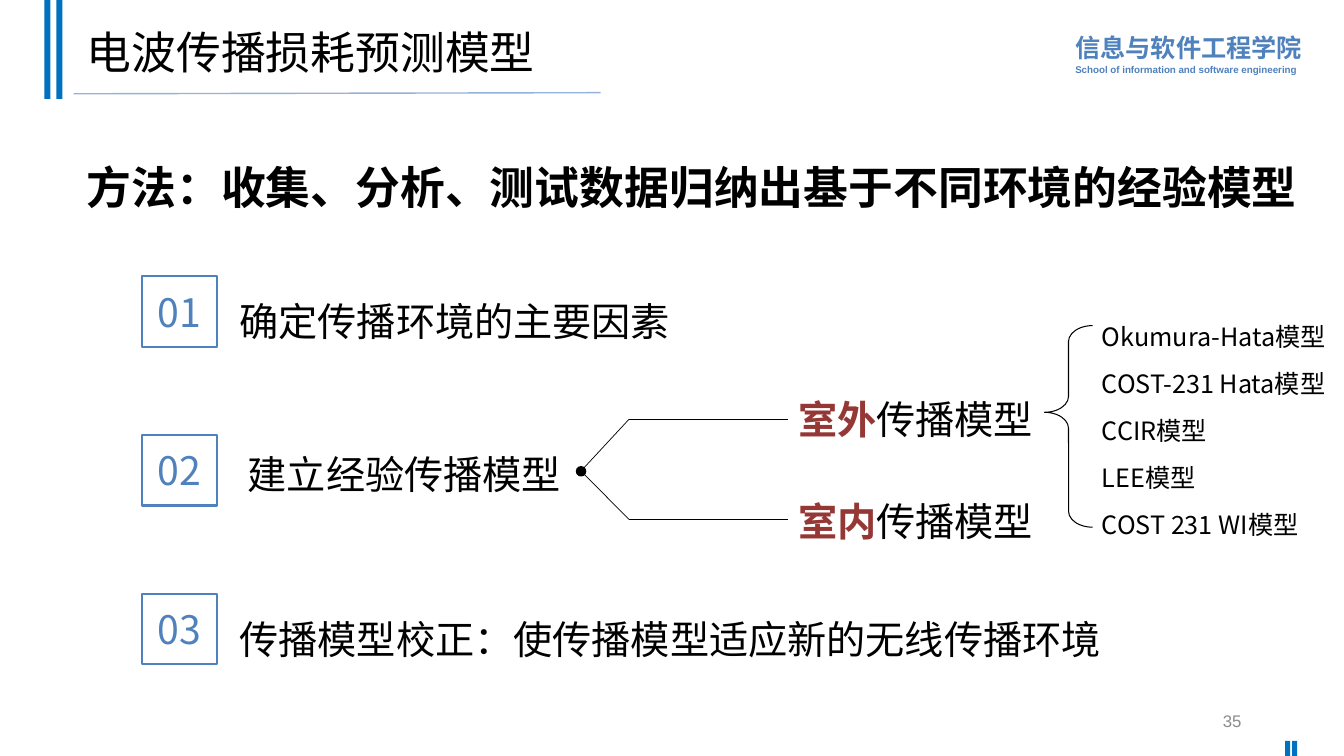
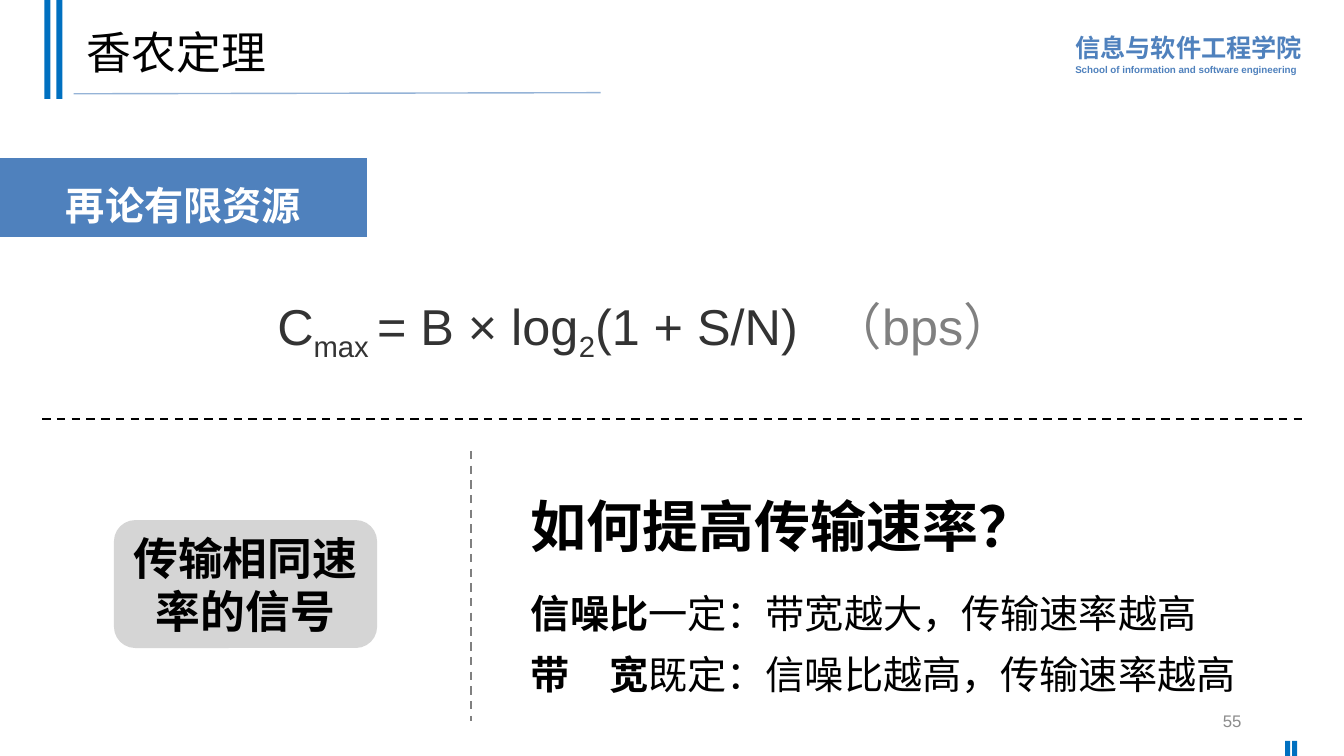
"""Build two lecture slides on radio propagation models and Shannon's theorem."""
import pptx
import pptx.util
import pptx.dml.color
import pptx.enum.dml
import pptx.enum.shapes
import pptx.enum.text
import pptx.oxml.ns
import lxml.etree

Pt = pptx.util.Pt
KIND = pptx.enum.shapes.MSO_SHAPE
ALIGN = pptx.enum.text.PP_ALIGN
ANCHOR = pptx.enum.text.MSO_ANCHOR
NOTO, ARIAL = "Noto Sans CJK SC", "Arial"
BLUE, BAR, RULE, RED = "4F81BD", "0070C0", "95B3D7", "953735"
BLACK, DARK, GREY, PALE, WHITE = "000000", "333333", "808080", "D5D5D5", "FFFFFF"

SCHOOL = [
    [("信息与软件工程学院", {})],
    [("School of information and software engineering", {"size": 7})],
]
BARS = [(31.7, 0, 4.3, 70.6), (40.3, 0, 4.3, 70.6),
        (918, 529.2, 3.6, 10.8), (923, 529.2, 3.6, 10.8)]

METHOD = "方法：收集、分析、测试数据归纳出基于不同环境的经验模型"
STEPS = [
    ("确定传播环境的主要因素", 164, 209),
    ("建立经验传播模型", 170, 318),
    ("传播模型校正：使传播模型适应新的无线传播环境", 164, 436),
]
SCENES = [("室外", 279, 299.5), ("室内", 351.5, 371)]
MODELS = ["Okumura-Hata模型", "COST-231 Hata模型", "CCIR模型", "LEE模型",
          "COST 231 WI模型"]

SUB = {"base": -25000}
FORMULA = [
    ("C", {}), ("max ", SUB), ("= B × log", {}), ("2", SUB),
    ("(1 + S/N)\t", {}), ("（bps）", {"color": GREY}),
]
SMALL = {"size": 28}
PLAIN = {"size": 28, "bold": False}
ANSWERS = [
    [("如何提高传输速率？", {})],
    [("信噪比", SMALL), ("一定：带宽越大，传输速率越高", PLAIN)],
    [("带　宽", SMALL), ("既定：信噪比越高，传输速率越高", PLAIN)],
]


def rgb(code):
    return pptx.dml.color.RGBColor.from_string(code)


def node(parent, tag, **attrs):
    return lxml.etree.SubElement(parent, pptx.oxml.ns.qn(tag), attrs)


def place(shape, box):
    shape.left, shape.top, shape.width, shape.height = map(Pt, box)


def write(shape, paras, size=28, font=NOTO, color=BLACK, bold=False,
          align=ALIGN.LEFT, anchor=ANCHOR.TOP, line=1.2, gaps=(), tab=None):
    frame = shape.text_frame
    frame.word_wrap = True
    frame.auto_size = pptx.enum.text.MSO_AUTO_SIZE.NONE
    frame.vertical_anchor = anchor
    if isinstance(paras, str):
        paras = [[(paras, {})]]
    for at, runs in enumerate(paras):
        para = frame.add_paragraph() if at else frame.paragraphs[0]
        para.alignment = align
        para.line_spacing = Pt(line * runs[0][1].get("size", size))
        para.space_before = Pt(gaps[at] if gaps else 0)
        props = para._p.get_or_add_pPr()
        props.set("marL", "0")
        props.set("indent", "0")
        node(props, "a:buNone")
        if tab:
            node(node(props, "a:tabLst"), "a:tab", pos=str(Pt(tab)), algn="l")
        for words, look in runs:
            run = para.add_run()
            run.text = words
            run.font.size = Pt(look.get("size", size))
            run.font.bold = look.get("bold", bold)
            run.font.color.rgb = rgb(look.get("color", color))
            run.font.name = font
            mark = run._r.get_or_add_rPr()
            node(mark, "a:ea", typeface=NOTO)
            if "base" in look:
                mark.set("baseline", str(look["base"]))
    return shape


def label(slide, box, paras, **look):
    return write(slide.shapes.add_textbox(*map(Pt, box)), paras, **look)


def block(slide, kind, box, fill=None, edge=None, width=1):
    shape = slide.shapes.add_shape(kind, *map(Pt, box))
    shape.shadow.inherit = False
    if fill:
        shape.fill.solid()
        shape.fill.fore_color.rgb = rgb(fill)
    else:
        shape.fill.background()
    if edge:
        shape.line.color.rgb = rgb(edge)
        shape.line.width = Pt(width)
    else:
        shape.line.fill.background()
    return shape


def stroke(slide, ends, color=BLACK, width=0.5, dash=False):
    line = slide.shapes.add_connector(
        pptx.enum.shapes.MSO_CONNECTOR.STRAIGHT, *map(Pt, ends))
    line.line.color.rgb = rgb(color)
    line.line.width = Pt(width)
    if dash:
        line.line.dash_style = pptx.enum.dml.MSO_LINE.DASH
    node(line._element.spPr, "a:effectLst")


def start(deck, title, number, font):
    slide = deck.slides.add_slide(deck.slide_layouts[1])
    label(slide, (761, 18, 180, 40), SCHOOL, size=18, font=ARIAL,
          color=BLUE, bold=True, line=1.3)
    for bar in BARS:
        block(slide, KIND.RECTANGLE, bar, BAR)
    stroke(slide, (52.6, 67, 429, 66.2), RULE, 1)
    head, body = slide.placeholders
    place(head, (54.7, 5, 828, 63.4))
    write(head, title, size=32, font=font, anchor=ANCHOR.MIDDLE)
    label(slide, (678, 500.4, 216, 28.8), number, size=12, font=ARIAL,
          color="8C8C8C", align=ALIGN.RIGHT, anchor=ANCHOR.MIDDLE)
    return slide, body


def models(deck):
    slide, body = start(deck, "电波传播损耗预测模型", "35", NOTO)
    place(body, (54.7, 99, 890, 57.6))
    write(body, METHOD, size=32, bold=True, line=1.56)
    for at, (step, left, top) in enumerate(STEPS):
        badge = block(slide, KIND.RECTANGLE,
                      (101.5, 197.3 + 113.4 * at, 53.3, 50.4), None, BLUE, 1.5)
        write(badge, f"{at + 1:02}", color=BLUE, align=ALIGN.CENTER,
              anchor=ANCHOR.MIDDLE)
        label(slide, (left, top, 692, 41), step)
    for scene, top, mid in SCENES:
        stroke(slide, (563, mid, 449.3, mid))
        stroke(slide, (449.3, mid, 415, 336.5))
        label(slide, (563, top, 190, 41),
              [[(scene, {"color": RED, "bold": True}), ("传播模型", {})]])
    block(slide, KIND.OVAL, (411.8, 333.4, 6.5, 6.5), BLACK, BLACK)
    names = label(slide, (780, 226, 180, 165), [[(name, {})] for name in MODELS],
                  size=18, gaps=[0] + [12] * 4)
    names.text_frame.margin_right = 0
    brace = block(slide, KIND.LEFT_BRACE, (746, 232.6, 34.5, 144), None, BLACK, 0.75)
    brace.adjustments[0], brace.adjustments[1] = 0.33, 0.43


def shannon(deck):
    slide, body = start(deck, "香农定理", "55", ARIAL)
    place(body, (0, 113, 262, 56.2))
    body.fill.solid()
    body.fill.fore_color.rgb = rgb(BLUE)
    write(body, "再论有限资源", font=ARIAL, color=WHITE, bold=True,
          align=ALIGN.CENTER, line=1.66)
    label(slide, (191, 213, 595, 51), [FORMULA], size=36, font=ARIAL,
          color=DARK, tab=422)
    stroke(slide, (30.2, 299, 931, 299), BLACK, 1.5, True)
    stroke(slide, (336.4, 322, 336.4, 515), GREY, 1.5, True)
    card = block(slide, KIND.ROUNDED_RECTANGLE, (81.4, 371.5, 188, 91.4), PALE)
    write(card, "传输相同速率的信号", size=32, bold=True, align=ALIGN.CENTER,
          anchor=ANCHOR.MIDDLE)
    label(slide, (372.2, 333, 559, 174), ANSWERS, size=40, font=ARIAL,
          bold=True, line=1.56, gaps=(0, 12, 0))


def main():
    deck = pptx.Presentation()
    deck.slide_width, deck.slide_height = Pt(960), Pt(540)
    models(deck)
    shannon(deck)
    deck.save("out.pptx")


if __name__ == "__main__":
    main()
